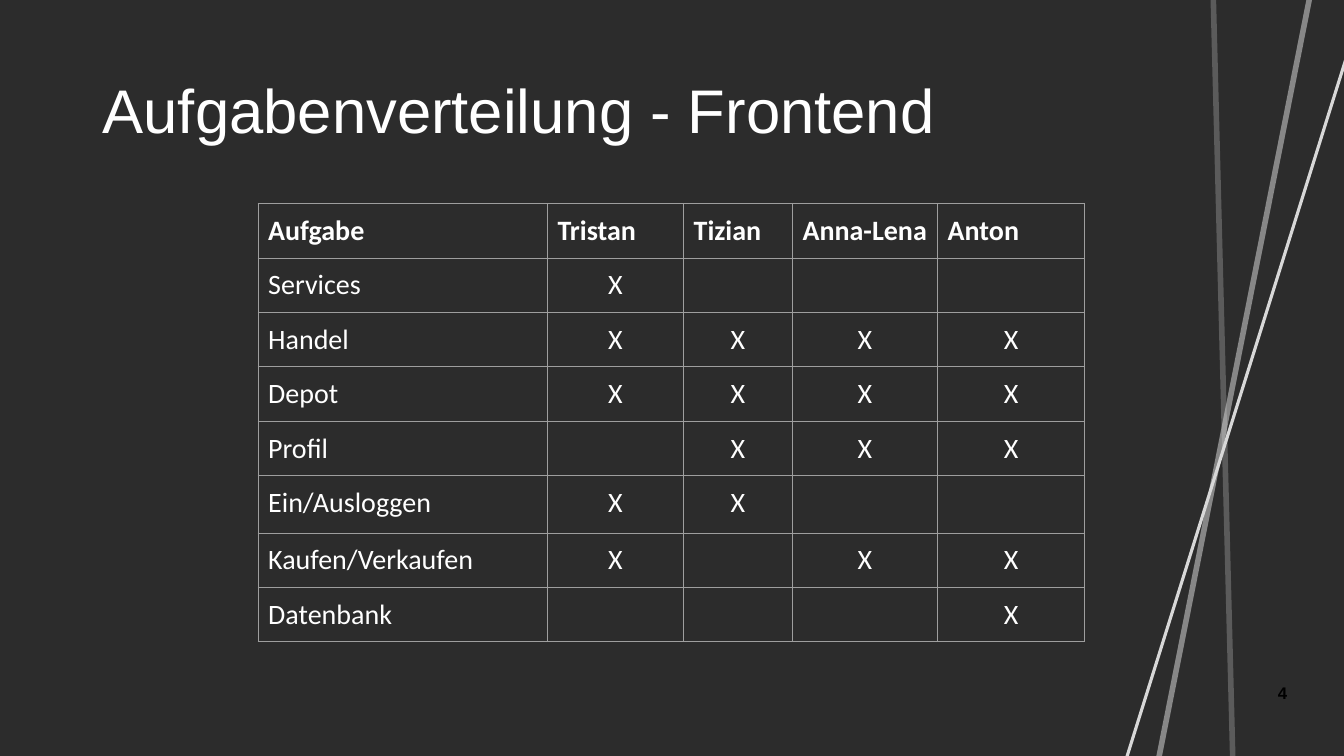
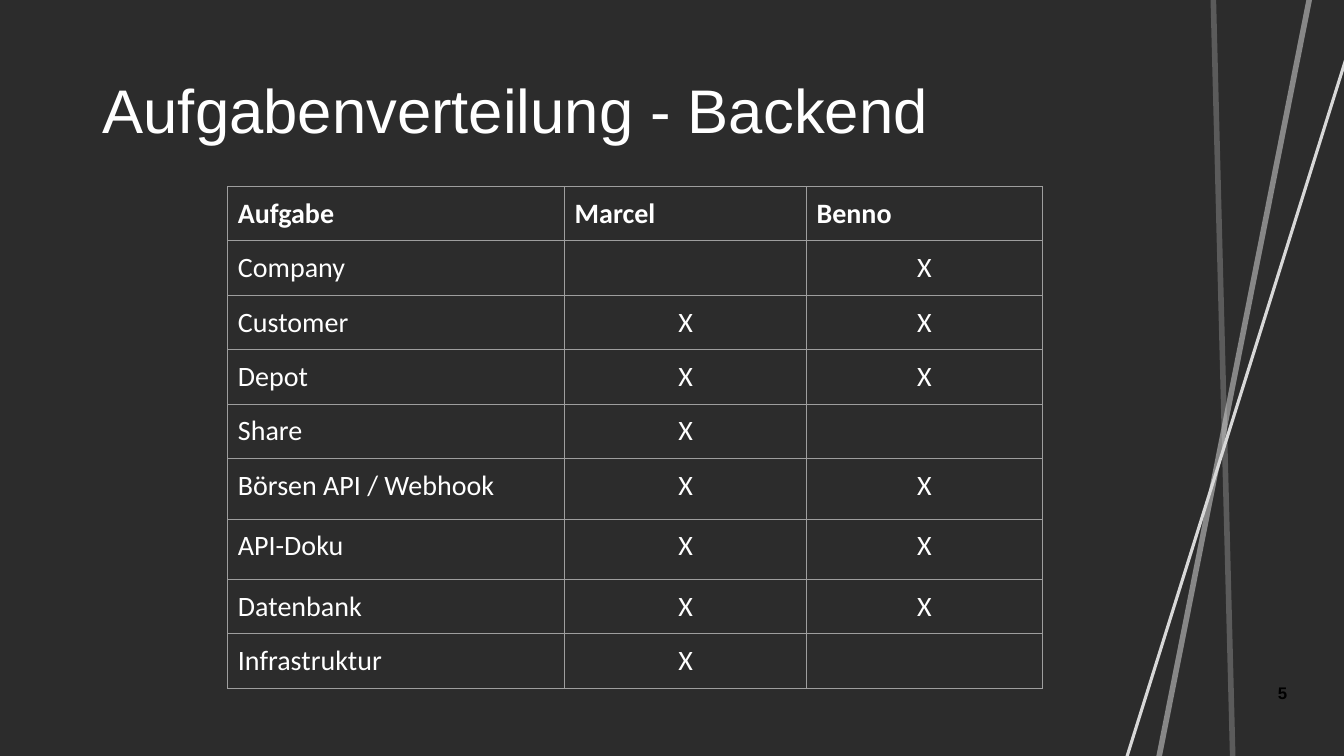
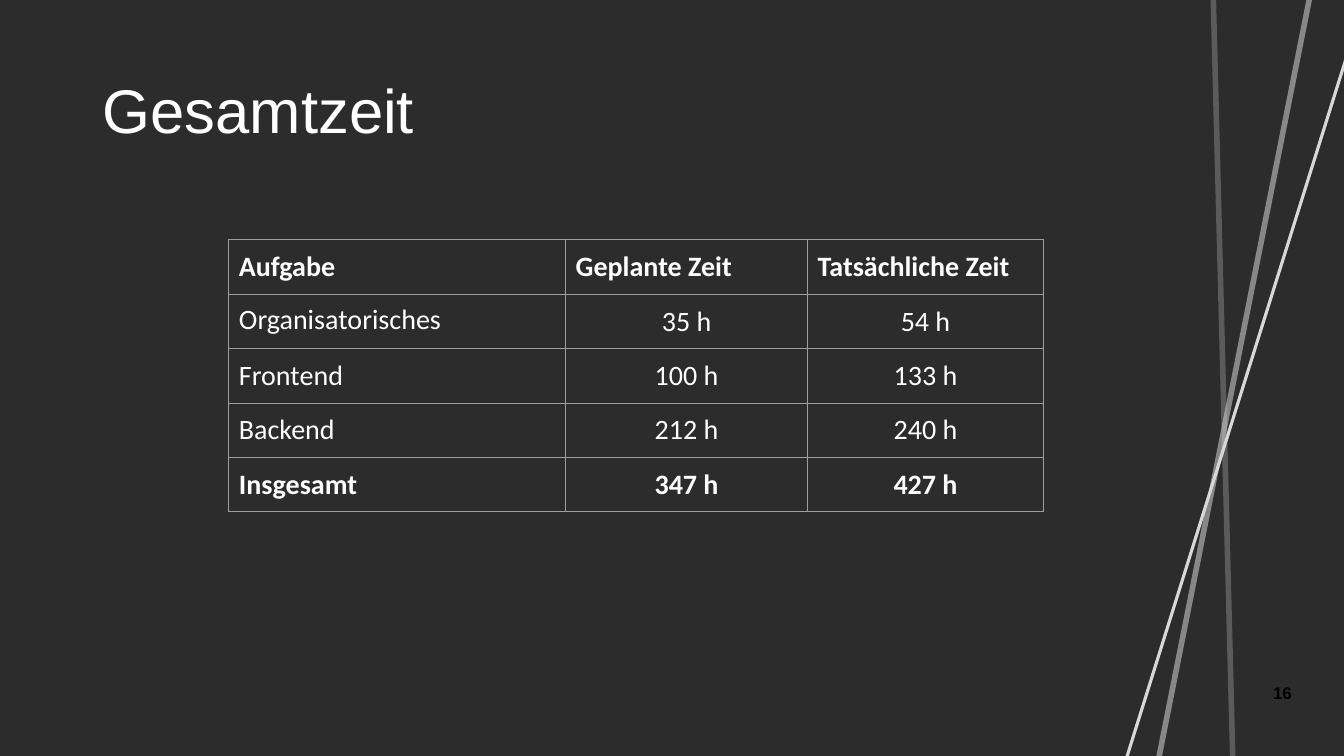
"""Build three slides on how tasks and hours were shared out in a project."""
from lxml import etree
from pptx import Presentation
from pptx import util as u
from pptx.dml import color
from pptx.enum import shapes, text
from pptx.oxml import ns

COLORS = {"back": "2C2C2C", "text": "FFFFFF", "number": "000000",
          "line": "D8D8D8", "border": "9E9E9E"}
RAYS = [(11.01, 8.04, 13.42, 0.36, 2.25, 100),
        (11.39, 8.04, 13.05, -0.33, 4, 52),
        (12.24, 8.04, 12.03, -0.16, 4, 28)]
ROW = 0.54
WIDE_COLS = [3.34, 2.4, 2.34]

FRONTEND = [("Aufgabe", "Tristan", "Tizian", "Anna-Lena", "Anton"),
            ("Services", "X", "", "", ""),
            ("Handel", "X", "X", "X", "X"),
            ("Depot", "X", "X", "X", "X"),
            ("Profil", "", "X", "X", "X"),
            ("Ein/Ausloggen", "X", "X", "", ""),
            ("Kaufen/Verkaufen", "X", "", "X", "X"),
            ("Datenbank", "", "", "", "X")]
BACKEND = [("Aufgabe", "Marcel", "Benno"),
           ("Company", "", "X"),
           ("Customer", "X", "X"),
           ("Depot", "X", "X"),
           ("Share", "X", ""),
           ("Börsen API / Webhook", "X", "X"),
           ("API-Doku", "X", "X"),
           ("Datenbank", "X", "X"),
           ("Infrastruktur", "X", "")]
HOURS = [("Aufgabe", "Geplante Zeit", "Tatsächliche Zeit"),
         ("Organisatorisches", "35 h", "54 h"),
         ("Frontend", "100 h", "133 h"),
         ("Backend", "212 h", "240 h"),
         ("Insgesamt", "347 h", "427 h")]


def rgb(name):
    return color.RGBColor.from_string(COLORS[name])


class Deck:
    def __init__(self):
        self.prs = Presentation()
        self.prs.slide_width = u.Inches(13.33)
        self.prs.slide_height = u.Inches(7.5)
        fill = self.prs.slide_master.background.fill
        fill.solid()
        fill.fore_color.rgb = rgb("back")

    def slide(self, title, number):
        self.s = self.prs.slides.add_slide(self.prs.slide_layouts[6])
        for ray in RAYS:
            self.ray(*ray)
        p = self.label(0.92, 0.4, 11.5, 1.45)
        p.line_spacing = 0.9
        self.run(p, title, 44, "Arial")
        p = self.label(12.44, 6.67, 0.56, 0.4)
        p.alignment = text.PP_ALIGN.CENTER
        self.run(p, str(number), 12, "Arial", "number", True)

    def ray(self, x1, y1, x2, y2, width, opacity):
        sp = self.s.shapes.add_connector(
            shapes.MSO_CONNECTOR.STRAIGHT, *map(u.Inches, (x1, y1, x2, y2)))
        sp.line.width = u.Pt(width)
        sp.line.color.rgb = rgb("line")
        if opacity < 100:
            clr = sp.element.xpath(".//a:ln//a:srgbClr")[0]
            etree.SubElement(clr, ns.qn("a:alpha"), val=str(opacity * 1000))
        etree.SubElement(sp.element.spPr, ns.qn("a:effectLst"))

    def label(self, *box):
        tf = self.s.shapes.add_textbox(*map(u.Inches, box)).text_frame
        tf.word_wrap = True
        tf.vertical_anchor = text.MSO_ANCHOR.MIDDLE
        return tf.paragraphs[0]

    def run(self, p, words, size, font, ink="text", bold=False):
        r = p.add_run()
        r.text = words
        r.font.size = u.Pt(size)
        r.font.name = font
        r.font.bold = bold
        r.font.color.rgb = rgb(ink)

    def table(self, left, top, cols, rows, tall=None, bold_rows=(0,)):
        heights = [(tall or {}).get(i, ROW) for i in range(len(rows))]
        frame = self.s.shapes.add_table(
            len(rows), len(cols), *map(u.Inches, (left, top, sum(cols), sum(heights))))
        tbl = frame.table
        tbl.first_row = tbl.horz_banding = False
        for col, width in zip(tbl.columns, cols):
            col.width = u.Inches(width)
        for i, (row, height) in enumerate(zip(rows, heights)):
            tbl.rows[i].height = u.Inches(height)
            for j, words in enumerate(row):
                self.cell(tbl.cell(i, j), words, i > 0 and j > 0, i in bold_rows)
        for tc in frame.element.xpath(".//a:tc"):
            self.border(tc.get_or_add_tcPr())
        return tbl

    def cell(self, cell, words, centred, bold):
        cell.fill.background()
        cell.margin_left = cell.margin_right = u.Inches(0.1)
        cell.margin_top = cell.margin_bottom = u.Inches(0.1)
        p = cell.text_frame.paragraphs[0]
        if centred:
            p.alignment = text.PP_ALIGN.CENTER
        if words:
            self.run(p, words, 20, "Calibri", bold=bold)

    def border(self, tc_pr):
        for i, side in enumerate(("lnL", "lnR", "lnT", "lnB")):
            ln = etree.Element(ns.qn(f"a:{side}"), w=str(u.Pt(0.75)))
            fill = etree.SubElement(ln, ns.qn("a:solidFill"))
            etree.SubElement(fill, ns.qn("a:srgbClr"), val=COLORS["border"])
            tc_pr.insert(i, ln)


def main():
    deck = Deck()
    deck.slide("Aufgabenverteilung - Frontend", 4)
    deck.table(2.56, 2.02, [2.87, 1.35, 1.08, 1.44, 1.46], FRONTEND, {5: 0.57})
    deck.slide("Aufgabenverteilung - Backend", 5)
    deck.table(2.26, 1.85, WIDE_COLS, BACKEND, {5: 0.6, 6: 0.6})
    deck.slide("Gesamtzeit", 16)
    tbl = deck.table(2.27, 2.38, WIDE_COLS, HOURS, bold_rows=(0, len(HOURS) - 1))
    p = tbl.cell(1, 0).text_frame.paragraphs[0]
    p.line_spacing = 0.9
    p.space_before = u.Pt(10)
    deck.prs.save("out.pptx")


if __name__ == "__main__":
    main()
